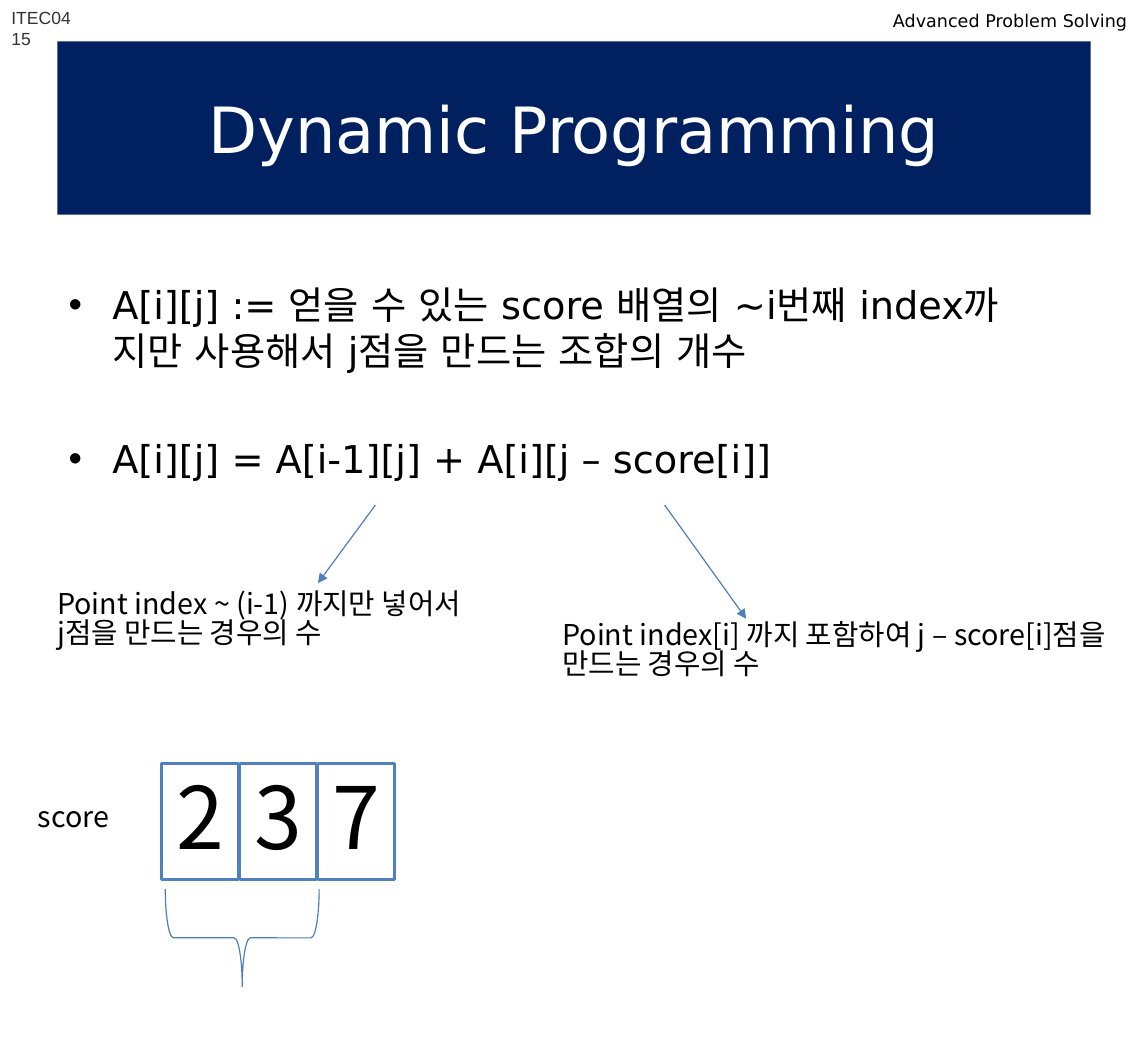
from lxml import etree
from pptx import Presentation
from pptx.dml.color import RGBColor
from pptx.enum.shapes import MSO_CONNECTOR as CONN, MSO_SHAPE as SHAPE
from pptx.enum.text import MSO_ANCHOR as ANCHOR, PP_ALIGN as ALIGN
from pptx.oxml.ns import qn
from pptx.util import Inches, Pt

DEJAVU, NOTO, ARIAL = "DejaVu Sans", "Noto Sans CJK KR", "Arial"
BLACK, WHITE, GRAY = "000000", "FFFFFF", "333333"
NAVY, BLUE, STEEL = "002060", "4F81BD", "4B7EBC"


def rgb(hex_color):
    """Turn a hex string into a colour."""
    return RGBColor.from_string(hex_color)


def style_text(tf, font, size, color=BLACK, align=ALIGN.LEFT, spacing=None):
    """Format every run of a text frame, for Latin and East Asian letters."""
    tf.word_wrap = True
    for p in tf.paragraphs:
        p.alignment = align
        if spacing:
            p.line_spacing = spacing
        for r in p.runs:
            r.font.size = Pt(size)
            r.font.name = font
            r.font.color.rgb = rgb(color)
            r.font._element.find(qn("a:latin")).addnext(
                etree.Element(qn("a:ea"), typeface=font))


def add_text(slide, box, text, font, size, color=BLACK, spacing=None):
    """Place a text box and return its text frame."""
    tf = slide.shapes.add_textbox(*map(Inches, box)).text_frame
    tf.text = text
    style_text(tf, font, size, color, spacing=spacing)
    return tf


def add_title(slide, box, text):
    """Turn the title placeholder into a navy banner."""
    sp = slide.shapes.title
    sp.left, sp.top, sp.width, sp.height = map(Inches, box)
    sp.fill.solid()
    sp.fill.fore_color.rgb = rgb(NAVY)
    tf = sp.text_frame
    tf.text = text
    tf.vertical_anchor = ANCHOR.MIDDLE
    style_text(tf, DEJAVU, 40, WHITE, ALIGN.CENTER)


def add_bullets(slide, box, lines):
    """Place bulleted lines with a wide gap between them."""
    tf = add_text(slide, box, "\n".join(lines), DEJAVU, 24)
    for i, p in enumerate(tf.paragraphs):
        p.space_before = Pt(39 if i else 0)
        pPr = p._p.get_or_add_pPr()
        pPr.set("marL", str(Inches(0.38)))
        pPr.set("indent", str(Inches(-0.38)))
        etree.SubElement(pPr, qn("a:buFont"), typeface=ARIAL)
        etree.SubElement(pPr, qn("a:buChar"), char="•")


def add_arrow(slide, start, end):
    """Draw a thin arrow from start to end."""
    cxn = slide.shapes.add_connector(
        CONN.STRAIGHT, *map(Inches, start + end))
    cxn.line.color.rgb = rgb(STEEL)
    cxn.line.width = Pt(0.75)
    etree.SubElement(cxn.line._get_or_add_ln(), qn("a:tailEnd"), type="triangle")
    etree.SubElement(cxn._element.spPr, qn("a:effectLst"))


def add_score_array(slide, box, values, pitch):
    """Draw the score cells with a brace under the first two."""
    left, top, width, height = box
    for i, value in enumerate(values):
        sp = slide.shapes.add_shape(
            SHAPE.RECTANGLE, *map(Inches, (left + i * pitch, top, width, height)))
        sp.shadow.inherit = False
        sp.fill.solid()
        sp.fill.fore_color.rgb = rgb(WHITE)
        sp.line.color.rgb = rgb(BLUE)
        sp.line.width = Pt(1.75)
        tf = sp.text_frame
        tf.text = str(value)
        tf.margin_top = tf.margin_bottom = 0
        tf.vertical_anchor = ANCHOR.MIDDLE
        style_text(tf, NOTO, 54, align=ALIGN.CENTER, spacing=0.9)
    depth, span = 0.85, 1.34
    center_x, center_y = left + pitch + 0.02, top + height + 0.51
    brace = slide.shapes.add_shape(SHAPE.RIGHT_BRACE, *map(Inches, (
        center_x - depth / 2, center_y - span / 2, depth, span)))
    brace.rotation = 90
    brace.shadow.inherit = False
    brace.fill.background()
    brace.line.color.rgb = rgb(STEEL)
    brace.line.width = Pt(0.75)


def main():
    """Build the slide and save it."""
    prs = Presentation()
    prs.slide_width, prs.slide_height = Inches(10), Inches(9.06)
    slide = prs.slides.add_slide(prs.slide_layouts[5])
    add_title(slide, (0.5, 0.36, 9, 1.51), "Dynamic Programming")
    add_bullets(slide, (0.5, 2.4, 9, 5.98), [
        "A[i][j] := 얻을 수 있는 score 배열의 ~i번째 index까\v지만 사용해서 j점을 만드는 조합의 개수",
        "A[i][j] = A[i-1][j] + A[i][j – score[i]]"])
    add_text(slide, (0, 0.01, 0.79, 0.29), "ITEC0415", ARIAL, 11, GRAY)
    add_text(slide, (7.68, 0.04, 2.32, 0.29), "Advanced Problem Solving", DEJAVU, 11)
    add_score_array(slide, (1.41, 6.65, 0.67, 1.01), (2, 3, 7), 0.68)
    for box, text in (
            ((0.23, 6.96, 0.85, 0.4), "score"),
            ((0.4, 5.11, 4.04, 0.71),
             "Point index ~ (i-1) 까지만 넣어서\nj점을 만드는 경우의 수"),
            ((4.8, 5.38, 5.2, 0.71),
             "Point index[i] 까지 포함하여 j – score[i]점을\n만드는 경우의 수")):
        add_text(slide, box, text, NOTO, 18, spacing=0.82)
    add_arrow(slide, (3.27, 4.4), (2.77, 5.08))
    add_arrow(slide, (5.79, 4.4), (6.5, 5.39))
    prs.save("out.pptx")


if __name__ == "__main__":
    main()
